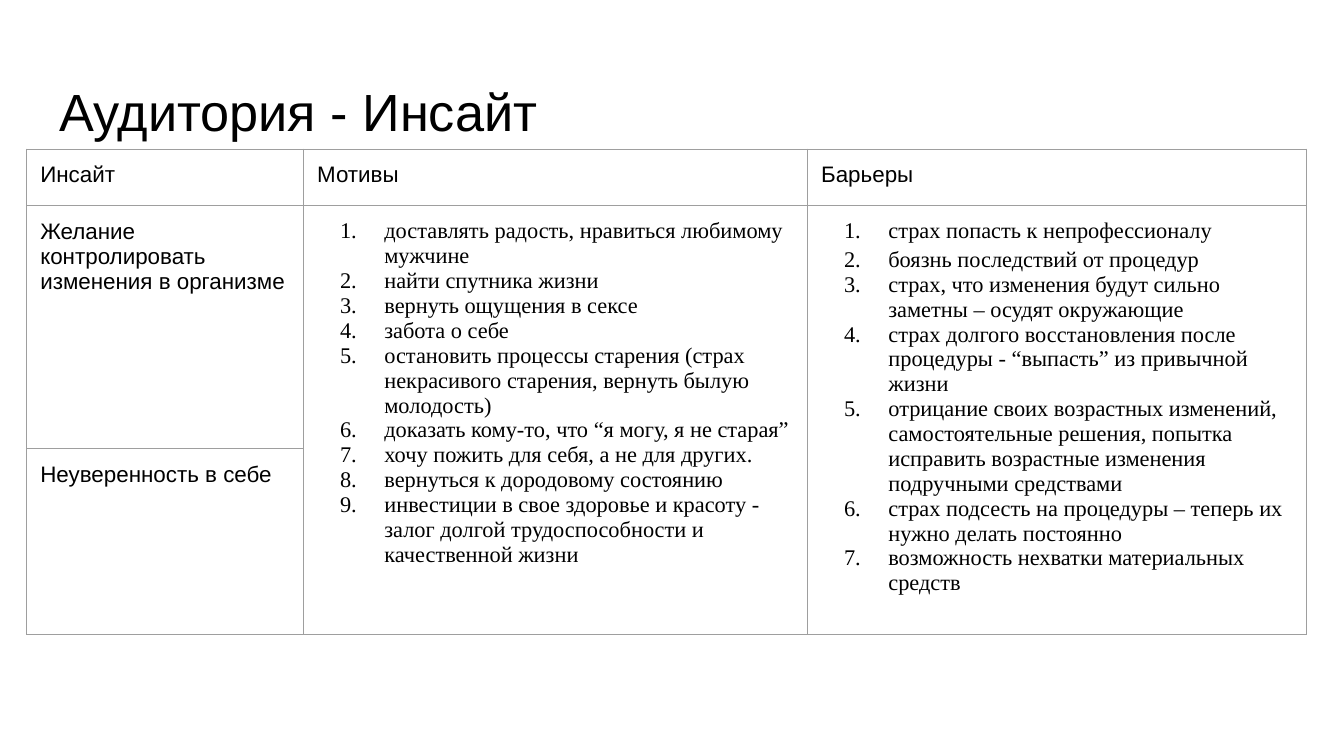
import dataclasses

import pptx
import pptx.dml.color
import pptx.enum.text
import pptx.oxml.ns
import pptx.util
from lxml import etree

Inches = pptx.util.Inches
Pt = pptx.util.Pt


@dataclasses.dataclass(frozen=True)
class Theme:
    text: str = "000000"
    background: str = "FFFFFF"
    border: str = "9E9E9E"
    border_width: float = 0.75
    title_size: float = 28
    body_size: float = 12
    heading_font: str = "Arial"
    list_font: str = "Times New Roman"
    inset: float = 0.1
    list_indent: float = 0.5
    number_hang: float = 0.33


THEME = Theme()

SLIDE_WIDTH = 10
SLIDE_HEIGHT = SLIDE_WIDTH * 9 / 16
COLUMN_WIDTHS = [2.06, 3.75, 3.71]
ROW_HEIGHTS = [0.42, 1.81, 1.38]
HEADINGS = ["Инсайт", "Мотивы", "Барьеры"]
INSIGHTS = ["Желание контролировать изменения в организме", "Неуверенность в себе"]
MOTIVES = [
    "доставлять радость, нравиться любимому мужчине",
    "найти спутника жизни",
    "вернуть ощущения в сексе",
    "забота о себе",
    "остановить процессы старения (страх некрасивого старения, вернуть былую молодость)",
    "доказать кому-то, что “я могу, я не старая”",
    "хочу пожить для себя, а не для других.",
    "вернуться к дородовому состоянию",
    "инвестиции в свое здоровье и красоту - залог долгой трудоспособности и качественной жизни",
]
BARRIERS = [
    "страх попасть к непрофессионалу",
    "боязнь последствий от процедур",
    "страх, что изменения будут сильно заметны – осудят окружающие",
    "страх долгого восстановления после процедуры - “выпасть” из привычной жизни",
    "отрицание своих возрастных изменений, самостоятельные решения, "
    "попытка исправить возрастные изменения подручными средствами",
    "страх подсесть на процедуры – теперь их нужно делать постоянно",
    "возможность нехватки материальных средств",
]


def add_element(parent, tag, **attributes):
    return etree.SubElement(parent, pptx.oxml.ns.qn(tag), **attributes)


def format_runs(paragraph, font_name, size):
    for run in paragraph.runs:
        run.font.name = font_name
        run.font.size = Pt(size)
        run.font.bold = False
        run.font.color.rgb = pptx.dml.color.RGBColor.from_string(THEME.text)


def set_insets(target):
    target.margin_left = target.margin_right = Inches(THEME.inset)
    target.margin_top = target.margin_bottom = Inches(THEME.inset)


def number_paragraph(paragraph):
    properties = paragraph._p.get_or_add_pPr()
    properties.set("marL", str(Inches(THEME.list_indent)))
    properties.set("indent", str(-Inches(THEME.number_hang)))
    color = add_element(properties, "a:buClr")
    add_element(color, "a:srgbClr", val=THEME.text)
    add_element(properties, "a:buFont", typeface=THEME.list_font)
    add_element(properties, "a:buAutoNum", type="arabicPeriod")


def style_cell(cell):
    set_insets(cell)
    cell.vertical_anchor = pptx.enum.text.MSO_ANCHOR.TOP
    properties = cell._tc.get_or_add_tcPr()
    for side in ("L", "R", "T", "B"):
        line = add_element(properties, f"a:ln{side}", w=str(Pt(THEME.border_width)))
        fill = add_element(line, "a:solidFill")
        add_element(fill, "a:srgbClr", val=THEME.border)
    cell.fill.background()


def fill_label(cell, text):
    cell.text_frame.text = text
    format_runs(cell.text_frame.paragraphs[0], THEME.heading_font, THEME.body_size)


def fill_numbered_list(cell, items):
    cell.text_frame.text = "\n".join(items)
    for paragraph in cell.text_frame.paragraphs:
        number_paragraph(paragraph)
        format_runs(paragraph, THEME.list_font, THEME.body_size)


def place_title(slide, left, top, width, height, text):
    title = slide.shapes.title
    title.left, title.top = Inches(left), Inches(top)
    title.width, title.height = Inches(width), Inches(height)
    text_frame = title.text_frame
    text_frame.text = text
    text_frame.word_wrap = True
    text_frame.auto_size = pptx.enum.text.MSO_AUTO_SIZE.NONE
    text_frame.vertical_anchor = pptx.enum.text.MSO_ANCHOR.TOP
    set_insets(text_frame)
    paragraph = text_frame.paragraphs[0]
    paragraph.alignment = pptx.enum.text.PP_ALIGN.LEFT
    format_runs(paragraph, THEME.heading_font, THEME.title_size)


def place_insight_table(slide, left, top):
    table = slide.shapes.add_table(
        len(ROW_HEIGHTS), len(COLUMN_WIDTHS), Inches(left), Inches(top),
        Inches(sum(COLUMN_WIDTHS)), Inches(sum(ROW_HEIGHTS)),
    ).table
    table.first_row = False
    table.horz_banding = False
    for column, width in zip(table.columns, COLUMN_WIDTHS):
        column.width = Inches(width)
    for row, height in zip(table.rows, ROW_HEIGHTS):
        row.height = Inches(height)
    for cell in table.iter_cells():
        style_cell(cell)

    for column, heading in enumerate(HEADINGS):
        fill_label(table.cell(0, column), heading)
    for row, insight in enumerate(INSIGHTS, start=1):
        fill_label(table.cell(row, 0), insight)
    for column, items in enumerate([MOTIVES, BARRIERS], start=1):
        table.cell(1, column).merge(table.cell(2, column))
        fill_numbered_list(table.cell(1, column), items)
    table.cell(1, 2).text_frame.paragraphs[1].line_spacing = 1.15


def main():
    presentation = pptx.Presentation()
    presentation.slide_width = Inches(SLIDE_WIDTH)
    presentation.slide_height = Inches(SLIDE_HEIGHT)
    slide = presentation.slides.add_slide(presentation.slide_layouts[5])
    background = slide.background.fill
    background.solid()
    background.fore_color.rgb = pptx.dml.color.RGBColor.from_string(THEME.background)
    place_title(slide, 0.34, 0.49, 9.32, 0.63, "Аудитория - Инсайт")
    place_insight_table(slide, 0.2, 1.11)
    presentation.save("out.pptx")


if __name__ == "__main__":
    main()
